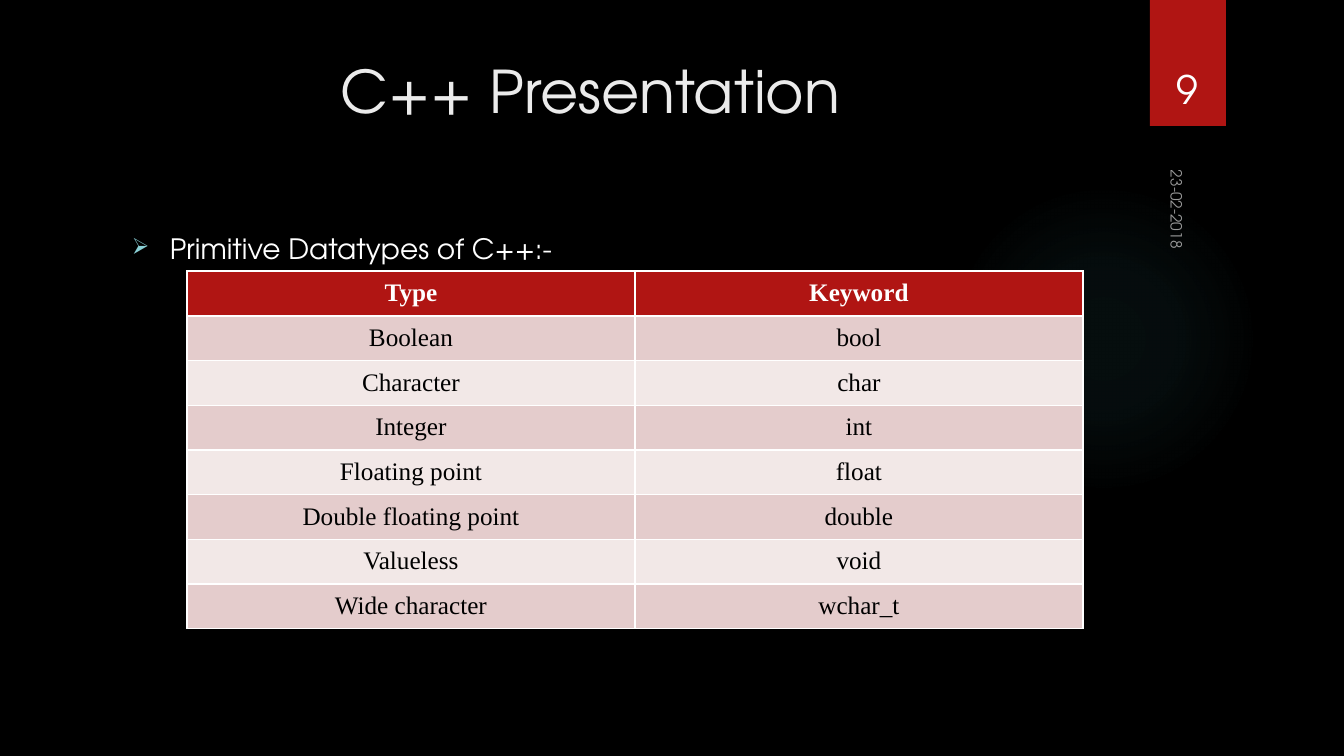
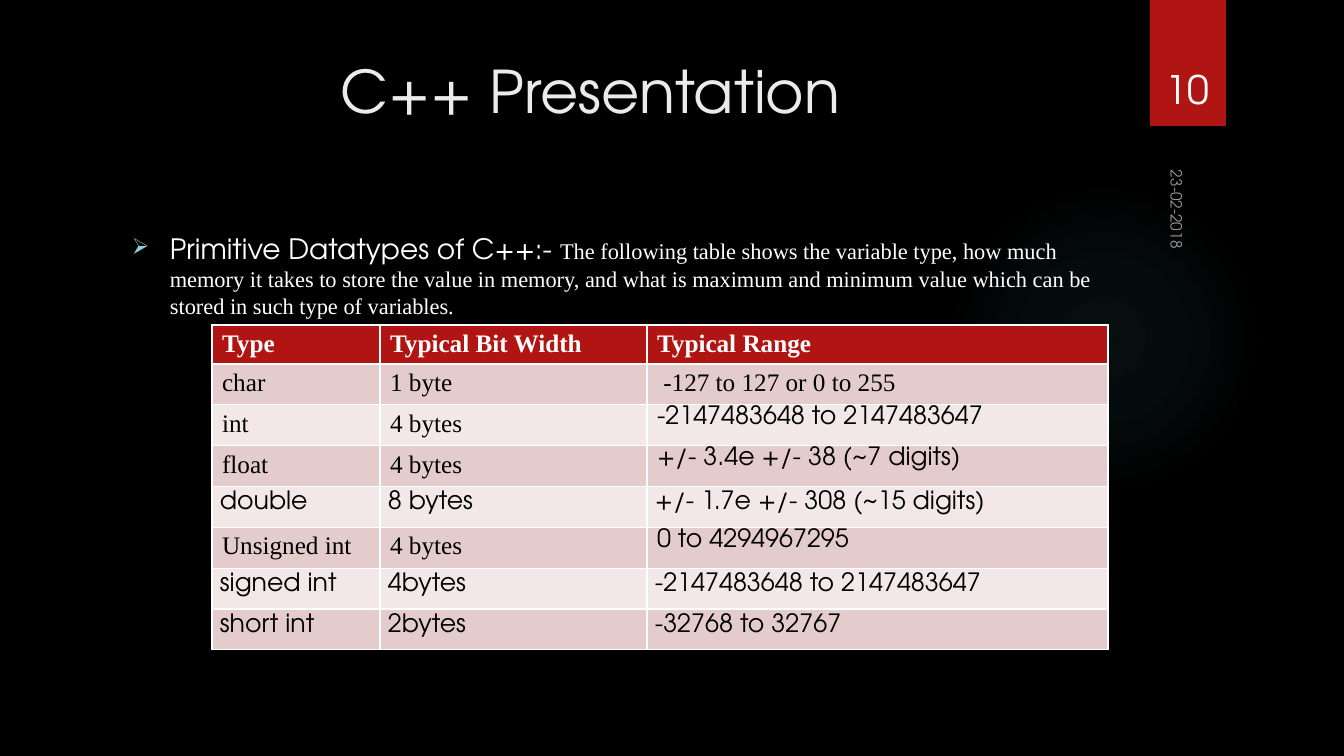
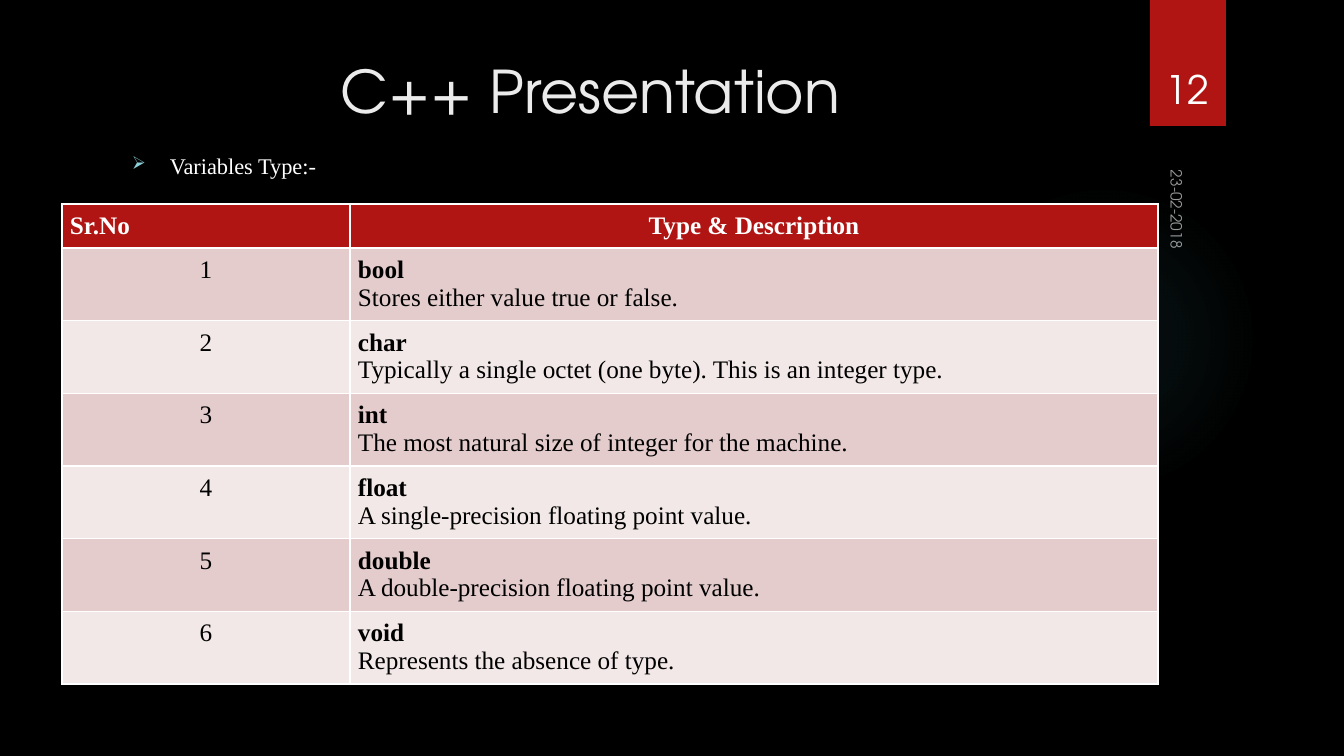
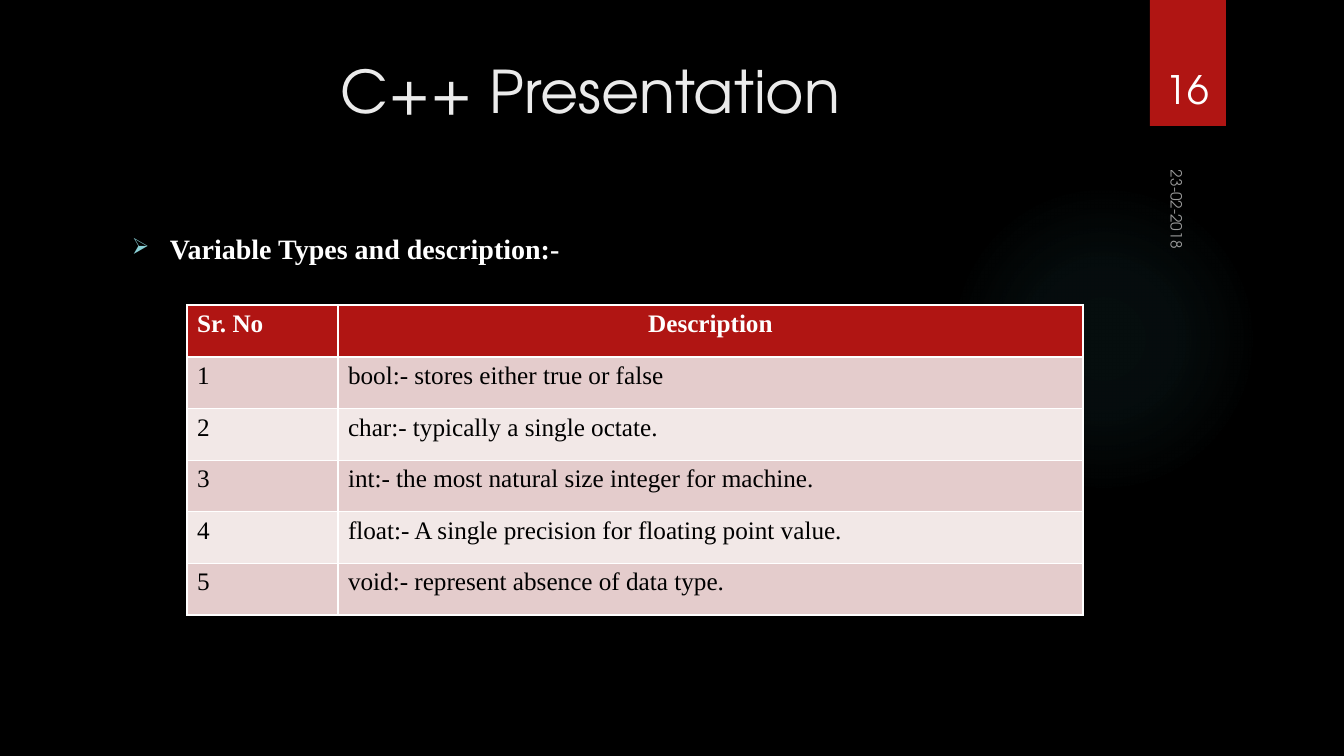
from lxml import etree
from pptx import Presentation
from pptx.dml.color import RGBColor
from pptx.enum.shapes import MSO_SHAPE
from pptx.enum.text import MSO_ANCHOR, MSO_AUTO_SIZE, PP_ALIGN
from pptx.oxml import parse_xml
from pptx.oxml.ns import nsdecls, qn
from pptx.util import Pt

PX = 12192000 / 1344
LEFT, CENTER, JUSTIFY = PP_ALIGN.LEFT, PP_ALIGN.CENTER, PP_ALIGN.JUSTIFY
TOP, BOTTOM = MSO_ANCHOR.TOP, MSO_ANCHOR.BOTTOM
NO_AUTOFIT = MSO_AUTO_SIZE.NONE
OVAL, RECTANGLE = MSO_SHAPE.OVAL, MSO_SHAPE.RECTANGLE

DISPLAY, SERIF = "TeX Gyre Adventor", "Times New Roman"
BLACK, WHITE, TITLE_GREY = "000000", "FFFFFF", "EBEBEB"
RED, DARK_BAND, LIGHT_BAND = "B01513", "E4CCCC", "F2E8E7"
BULLET_TEAL, GLOW_TEAL = "8AD0D6", "50B9C1"
GLOW_STOPS = [(0, 7), (36, 6), (69, 0)]

SLIDES = [
    {
        "number": "9",
        "heading_top": 227,
        "heading": [("Primitive Datatypes of C++:-", DISPLAY, 20, False)],
        "frame": (187, 271, 358),
        "header_height": 45,
        "columns": [448, 448],
        "header_aligns": [CENTER, CENTER],
        "body_aligns": [CENTER, CENTER],
        "padded_rows": range(8),
        "display_cells": [],
        "rows": [
            ["Type", "Keyword"],
            ["Boolean", "bool"],
            ["Character", "char"],
            ["Integer", "int"],
            ["Floating point", "float"],
            ["Double floating point", "double"],
            ["Valueless", "void"],
            ["Wide character", "wchar_t"],
        ],
    },
    {
        "number": "10",
        "heading_top": 227,
        "heading": [
            ("Primitive Datatypes of C++:- ", DISPLAY, 20, False),
            ("The following table shows the variable type, how much memory it takes "
             "to store the value in memory, and what is maximum and minimum value "
             "which can be stored in such type of variables.", SERIF, 16, False),
        ],
        "frame": (212, 325, 325),
        "header_height": 39,
        "columns": [168, 267, 461],
        "header_aligns": [LEFT, LEFT, LEFT],
        "body_aligns": [LEFT, LEFT, LEFT],
        "padded_rows": [4, 6, 7],
        "display_cells": [(row, column) for row in range(2, 8) for column in range(3)
                          if column == 2 or row in (4, 6, 7)],
        "rows": [
            ["Type", "Typical Bit Width", "Typical Range"],
            ["char", "1 byte", " -127 to 127 or 0 to 255"],
            ["int", "4 bytes", "-2147483648 to 2147483647"],
            ["float", "4 bytes", "+/- 3.4e +/- 38 (~7 digits)"],
            ["double", "8 bytes", "+/- 1.7e +/- 308 (~15 digits)"],
            ["Unsigned int", "4 bytes", "0 to 4294967295"],
            ["signed int", "4bytes", "-2147483648 to 2147483647"],
            ["short int", "2bytes", "-32768 to 32767"],
        ],
    },
    {
        "number": "12",
        "heading_top": 147,
        "heading": [("Variables Type:-", SERIF, 16, False)],
        "frame": (62, 204, 480),
        "header_height": 44,
        "columns": [288, 808],
        "header_aligns": [LEFT, CENTER],
        "body_aligns": [CENTER, JUSTIFY],
        "padded_rows": range(7),
        "display_cells": [],
        "rows": [
            ["Sr.No", "Type & Description"],
            ["1", "bool\nStores either value true or false."],
            ["2", "char\nTypically a single octet (one byte). This is an integer type."],
            ["3", "int\nThe most natural size of integer for the machine."],
            ["4", "float\nA single-precision floating point value."],
            ["5", "double\nA double-precision floating point value."],
            ["6", "void\nRepresents the absence of type."],
        ],
    },
    {
        "number": "16",
        "heading_top": 227,
        "heading": [("Variable Types and description:-", SERIF, 20, True)],
        "frame": (187, 305, 310),
        "header_height": 52,
        "columns": [151, 745],
        "header_aligns": [LEFT, CENTER],
        "body_aligns": [LEFT, LEFT],
        "padded_rows": [],
        "display_cells": [],
        "rows": [
            ["Sr. No", "Description"],
            ["1", "bool:- stores either true or false"],
            ["2", "char:- typically a single octate."],
            ["3", "int:- the most natural size integer for machine."],
            ["4", "float:- A single precision for floating point value."],
            ["5", "void:- represent absence of data type."],
        ],
    },
]


def rgb(value):
    return RGBColor.from_string(value)


def add_run(paragraph, text, color, **font_format):
    run = paragraph.add_run()
    run.text = text
    run.font.color.rgb = rgb(color)
    for name, value in font_format.items():
        setattr(run.font, name, value)
    return run


prs = Presentation()
prs.slide_width, prs.slide_height = round(1344 * PX), round(756 * PX)
background = prs.slide_master.background.fill
background.solid()
background.fore_color.rgb = rgb(BLACK)
title_only = prs.slide_layouts[5]

glow_stops = "".join(
    f'<a:gs pos="{position * 1000}"><a:srgbClr val="{GLOW_TEAL}">'
    f'<a:alpha val="{alpha * 1000}"/></a:srgbClr></a:gs>'
    for position, alpha in GLOW_STOPS)
glow_xml = (
    f'<a:gradFill {nsdecls("a")} rotWithShape="1"><a:gsLst>{glow_stops}</a:gsLst>'
    '<a:path path="circle"><a:fillToRect l="50000" t="50000" r="50000" b="50000"/>'
    '</a:path></a:gradFill>')

for content in SLIDES:
    slide = prs.slides.add_slide(title_only)
    shapes = slide.shapes

    glow = shapes.add_shape(OVAL, *(round(v * PX) for v in (949, 184, 310, 310)))
    glow.fill.background()
    no_fill = glow.element.spPr.find(qn("a:noFill"))
    no_fill.getparent().replace(no_fill, parse_xml(glow_xml))
    number_band = shapes.add_shape(RECTANGLE, *(round(v * PX) for v in (1150, 0, 76, 126)))
    number_band.fill.solid()
    number_band.fill.fore_color.rgb = rgb(RED)
    for decoration in (glow, number_band):
        decoration.line.fill.background()
        decoration.shadow.inherit = False

    title = shapes.title
    title_place = {"left": 72, "top": 50, "width": 1037, "height": 154}
    for name, value in title_place.items():
        setattr(title, name, round(value * PX))
    heading, date, number = (
        shapes.add_textbox(*(round(v * PX) for v in place))
        for place in ((122, content["heading_top"], 986, 463),
                      (1120, 198, 109, 33),
                      (1141, 32, 93, 85)))
    for box, anchor in ((title, TOP), (heading, TOP), (date, TOP), (number, BOTTOM)):
        frame_format = {"word_wrap": True, "auto_size": NO_AUTOFIT, "vertical_anchor": anchor}
        for name, value in frame_format.items():
            setattr(box.text_frame, name, value)

    title_line = title.text_frame.paragraphs[0]
    title_line.alignment = CENTER
    add_run(title_line, "C++ Presentation", TITLE_GREY, name=DISPLAY, size=Pt(42))

    heading_line = heading.text_frame.paragraphs[0]
    heading_line.space_before = Pt(10)
    for text, font, size, bold in content["heading"]:
        add_run(heading_line, text, WHITE, name=font, size=Pt(size), bold=bold)
    bullet = heading_line._p.get_or_add_pPr()
    bullet.set("marL", str(round(38 * PX)))
    bullet.set("indent", str(round(-38 * PX)))
    bullet_color = etree.SubElement(bullet, qn("a:buClr"))
    etree.SubElement(bullet_color, qn("a:srgbClr"), val=BULLET_TEAL)
    etree.SubElement(bullet, qn("a:buSzPct"), val="80000")
    etree.SubElement(bullet, qn("a:buChar"), char="➢")

    date.rotation = 90
    date_run = add_run(date.text_frame.paragraphs[0], "23-02-2018", WHITE,
                       name=DISPLAY, size=Pt(11))
    date_color = date_run.font.fill._xPr.find(qn("a:solidFill"))[0]
    etree.SubElement(date_color, qn("a:alpha"), val="60000")

    number_line = number.text_frame.paragraphs[0]
    number_line.alignment = CENTER
    add_run(number_line, content["number"], WHITE, name=DISPLAY, size=Pt(28))

    rows, columns = content["rows"], content["columns"]
    left, top, height = content["frame"]
    table = shapes.add_table(
        len(rows), len(columns),
        *(round(v * PX) for v in (left, top, sum(columns), height))).table
    for column, width in enumerate(columns):
        table.columns[column].width = round(width * PX)
    body_height = (height - content["header_height"]) / (len(rows) - 1)

    for row, texts in enumerate(rows):
        is_header = row == 0
        row_height = content["header_height"] if is_header else body_height
        table.rows[row].height = round(row_height * PX)
        band = RED if is_header else DARK_BAND if row % 2 else LIGHT_BAND
        aligns = content["header_aligns" if is_header else "body_aligns"]
        for column, text in enumerate(texts):
            cell = table.cell(row, column)
            cell.fill.solid()
            cell.fill.fore_color.rgb = rgb(band)
            if row in content["padded_rows"]:
                for side in ("left", "top", "right", "bottom"):
                    setattr(cell, f"margin_{side}", round(8 * PX))
            is_display = (row, column) in content["display_cells"]
            lines = text.split("\n")
            for index, line in enumerate(lines):
                frame = cell.text_frame
                paragraph = frame.add_paragraph() if index else frame.paragraphs[0]
                paragraph.alignment = aligns[column]
                if is_display:
                    paragraph.line_spacing = 0.8
                is_term = len(lines) > 1 and index == 0
                add_run(paragraph, line, WHITE if is_header else BLACK,
                        name=DISPLAY if is_display else SERIF, size=Pt(18),
                        bold=is_header or is_term)

prs.save("out.pptx")
